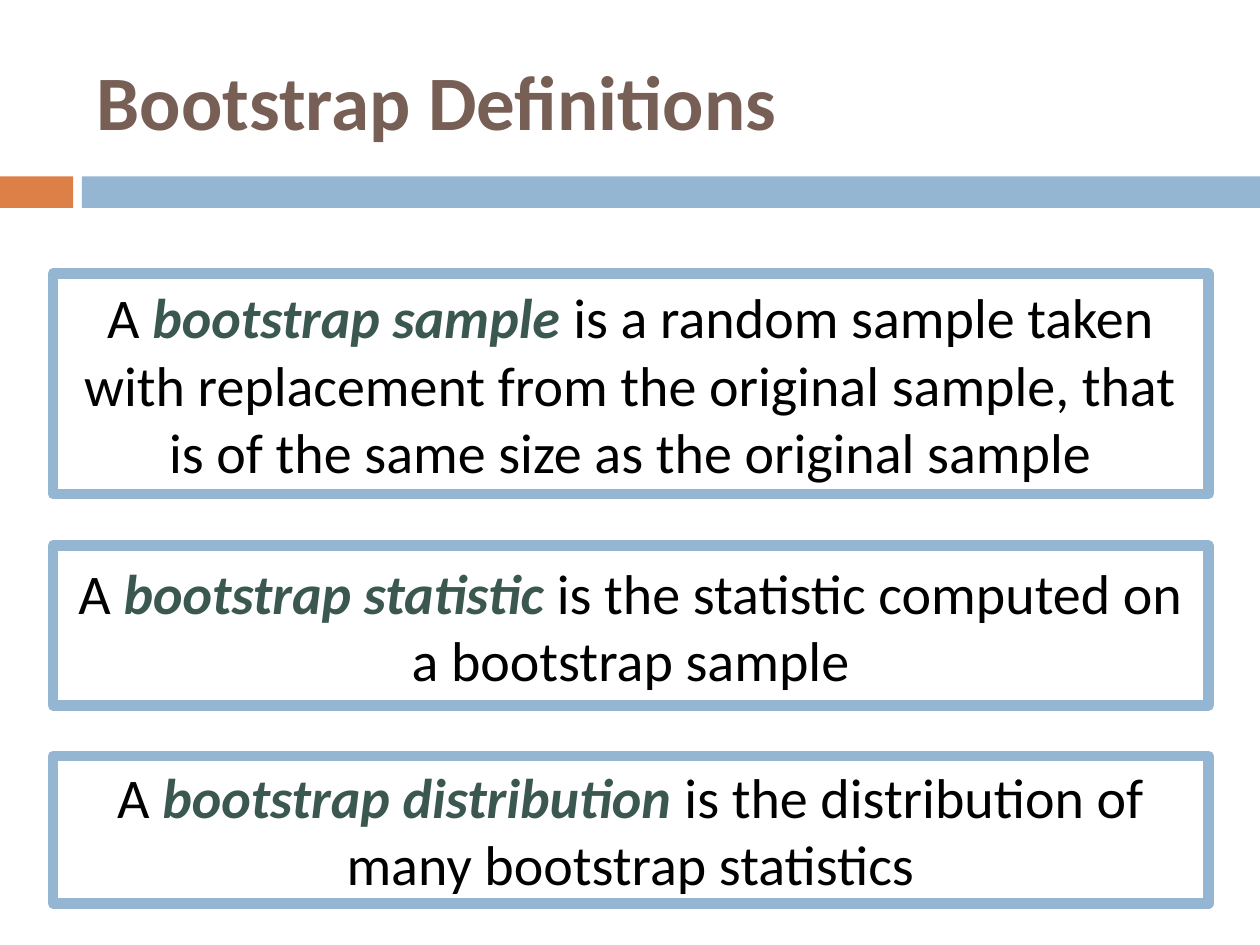
from lxml import etree
from pptx import Presentation
from pptx import util as u
from pptx.dml.color import RGBColor
from pptx.enum import shapes, text
from pptx.oxml.ns import qn

BLUE = "94B6D2"
ORANGE = "DD8047"
BROWN = "775F55"
GREEN = "3A5750"
BLACK = "000000"

DEFINITIONS = [
    (2.17, 1.75, "bootstrap sample ",
     "is a random sample taken with replacement from the original sample, "
     "that is of the same size as the original sample"),
    (4.33, 1.27, "bootstrap statistic ",
     "is the statistic computed on a bootstrap sample"),
    (6, 1.17, "bootstrap distribution ",
     "is the distribution of many bootstrap statistics"),
]


def color(hex_string):
    """Turn a hex string into a colour."""
    return RGBColor.from_string(hex_string)


def add_rectangle(slide, left, top, width, height):
    """Add a rectangle without a shadow."""
    shape = slide.shapes.add_shape(
        shapes.MSO_SHAPE.RECTANGLE,
        u.Inches(left), u.Inches(top), u.Inches(width), u.Inches(height))
    shape.shadow.inherit = False
    return shape


def add_bar(slide, left, width, fill):
    """Add one filled bar of the divider below the title."""
    bar = add_rectangle(slide, left, 1.4, width, 0.25)
    bar.fill.solid()
    bar.fill.fore_color.rgb = color(fill)
    bar.line.fill.background()


def add_run(paragraph, words, size, font_color, bold=False, italic=False):
    """Append a formatted run to a paragraph."""
    run = paragraph.add_run()
    run.text = words
    run.font.name = "Calibri"
    run.font.size = u.Pt(size)
    run.font.color.rgb = color(font_color)
    run.font.bold = bold
    run.font.italic = italic


def add_title(slide, words):
    """Add the slide title."""
    box = slide.shapes.add_textbox(
        u.Inches(0.67), u.Inches(0.25), u.Inches(8.92), u.Inches(1.08))
    frame = box.text_frame
    frame.word_wrap = True
    frame.vertical_anchor = text.MSO_ANCHOR.MIDDLE
    add_run(frame.paragraphs[0], words, 44, BROWN, bold=True)


def add_definition(slide, top, height, term, meaning):
    """Add a framed definition with its term emphasised."""
    box = add_rectangle(slide, 0.42, top, 9.17, height)
    box.fill.background()
    box.line.color.rgb = color(BLUE)
    box.line.width = u.Pt(6)
    etree.SubElement(box.line._get_or_add_ln(), qn("a:round"))
    frame = box.text_frame
    frame.word_wrap = True
    frame.vertical_anchor = text.MSO_ANCHOR.MIDDLE
    paragraph = frame.paragraphs[0]
    paragraph.alignment = text.PP_ALIGN.CENTER
    paragraph.space_after = u.Pt(18)
    add_run(paragraph, "A ", 32, BLACK)
    add_run(paragraph, term, 32, GREEN, bold=True, italic=True)
    add_run(paragraph, meaning, 32, BLACK)


def main():
    """Build and save the slide."""
    presentation = Presentation()
    presentation.slide_width = u.Inches(10)
    presentation.slide_height = u.Inches(7.5)
    slide = presentation.slides.add_slide(presentation.slide_layouts[6])
    add_bar(slide, 0, 0.58, ORANGE)
    add_bar(slide, 0.65, 9.35, BLUE)
    add_title(slide, "Bootstrap Definitions")
    for definition in DEFINITIONS:
        add_definition(slide, *definition)
    presentation.save("out.pptx")


if __name__ == "__main__":
    main()
